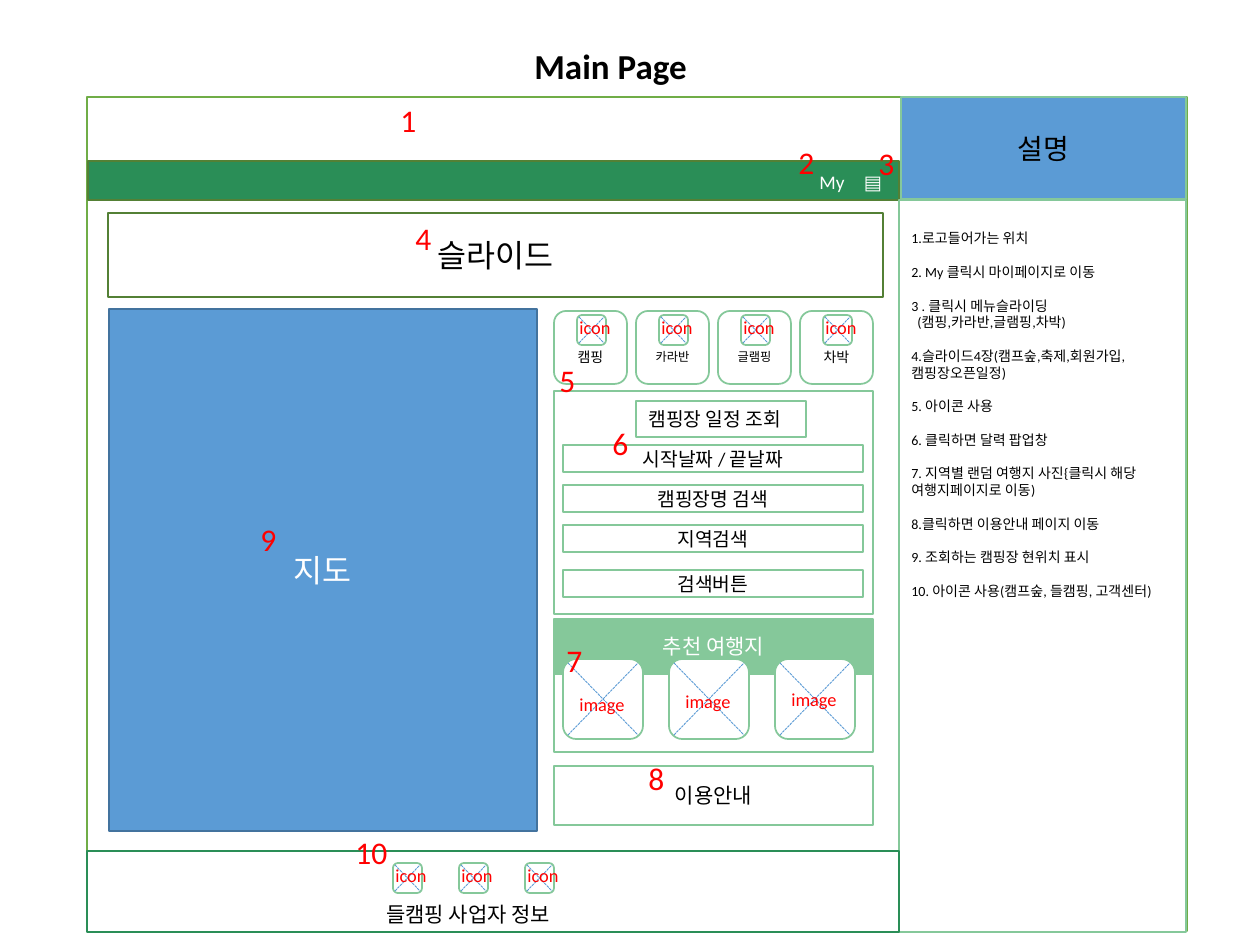
"""Build the main page wireframe of a camping site with numbered notes."""
import pptx
import pptx.dml.color
import pptx.enum.dml
import pptx.enum.shapes
import pptx.enum.text
import pptx.util
from lxml import etree

PX = 914400 / 126
RED, BLACK, WHITE = "FF0000", "000000", "FFFFFF"
BLUE, NAVY, MINT, GREEN, OLIVE = "5B9BD5", "43739E", "85C89A", "2A8E57", "538035"
hue = pptx.dml.color.RGBColor.from_string
Pt = pptx.util.Pt
kinds = pptx.enum.shapes.MSO_SHAPE
anchor = pptx.enum.text.MSO_ANCHOR
align = pptx.enum.text.PP_ALIGN

deck = pptx.Presentation()
deck.slide_width, deck.slide_height = int(1260 * PX), int(945 * PX)
slide = deck.slides.add_slide(deck.slide_layouts[6])


def box(rect, text="", size=11, ink=BLACK, fill=None, line=None, kind=kinds.RECTANGLE,
        wrap=True, bold=False, side=None, width=1):
    """Draw an outlined shape, or a plain text box if there is no line."""
    place = [int(n * PX) for n in rect]
    if line:
        shape = slide.shapes.add_shape(kind, *place)
        shape.shadow.inherit = False
        shape.line.color.rgb = hue(line)
        shape.line.width = Pt(width)
        if fill:
            shape.fill.solid()
            shape.fill.fore_color.rgb = hue(fill)
        else:
            shape.fill.background()
    else:
        shape = slide.shapes.add_textbox(*place)
    frame = shape.text_frame
    frame.word_wrap = wrap
    frame.vertical_anchor = anchor.MIDDLE if line else anchor.TOP
    if text:
        para = frame.paragraphs[0]
        para.alignment = side or (align.CENTER if line else align.LEFT)
        run = para.add_run()
        run.text = text
        for key, val in {"name": "Calibri", "size": Pt(size), "bold": bold}.items():
            setattr(run.font, key, val)
        run.font.color.rgb = hue(ink)
    return shape


def cross(x, y, w, h, dx, dy):
    """Draw a rounded tile crossed by two dashed diagonals."""
    box((x, y, w, h), fill=WHITE, line=MINT, kind=kinds.ROUNDED_RECTANGLE)
    for top, end in ((y + dy, y + h - dy), (y + h - dy, y + dy)):
        ends = [int(n * PX) for n in (x + dx, top, x + w - dx, end)]
        rule = slide.shapes.add_connector(pptx.enum.shapes.MSO_CONNECTOR.STRAIGHT, *ends)
        rule.line.color.rgb = hue(BLUE)
        rule.line.width = Pt(0.5)
        rule.line.dash_style = pptx.enum.dml.MSO_LINE.SQUARE_DOT
        etree.SubElement(rule._element.spPr, pptx.oxml.ns.qn("a:effectLst"))


box((87, 97, 1100, 834), fill=WHITE, line="70AD47")
box((108, 213, 775, 84), "슬라이드", 18, line=OLIVE)
box((109, 309, 428, 522), "지도", 18, WHITE, BLUE, NAVY)
box((522, 38, 179, 55), "Main Page", 20, wrap=False, bold=True)
box((88, 161, 811, 39), fill=GREEN, line=OLIVE)
box((807, 165, 50, 33), "My", ink=WHITE, line=GREEN, wrap=False)
box((856, 165, 34, 33), "▤", ink=WHITE, line=GREEN, wrap=False)

box((554, 391, 319, 223), fill=WHITE, line=MINT)
fields = {445: "시작날짜 / 끝날짜", 485: "캠핑장명 검색", 525: "지역검색", 570: "검색버튼"}
for y, text in fields.items():
    box((563, y, 300, 27), text, line=MINT)
title = box((636, 401, 170, 36), "캠핑장 일정 조회", line=MINT, wrap=False,
            side=align.LEFT, width=0.75)
title.text_frame.vertical_anchor = anchor.TOP

for i, (text, size) in enumerate((("캠핑", 8), ("카라반", 7), ("글램핑", 7), ("차박", 8))):
    tile = box((554 + 82 * i, 311, 73, 73), text, size, fill=WHITE, line=MINT,
               kind=kinds.ROUNDED_RECTANGLE)
    tile.text_frame.margin_top = int(25 * PX)

box((554, 629, 319, 123), fill=WHITE, line=MINT)
box((554, 619, 319, 55), "추천 여행지", 12, WHITE, MINT, MINT)
for i, y in enumerate((687, 684, 682)):
    x = 563 + 106 * i
    cross(x, 659, 80, 80, 5, 4)
    box((x + 4, y, 105, 35), "image", 10.5, RED)
box((554, 766, 319, 59), "이용안내", 12, line=MINT)

box((901, 97, 285, 102), "설명", 16, fill=BLUE, line=MINT)
notes = box((899, 200, 287, 732), fill=WHITE, line=MINT)
frame = notes.text_frame
frame.vertical_anchor = anchor.TOP
frame.margin_top = int(30 * PX)
lines = (
    "1.로고들어가는 위치", "2. My 클릭시 마이페이지로 이동", "3 . 클릭시 메뉴슬라이딩",
    "(캠핑,카라반,글램핑,차박)", "4.슬라이드4장(캠프숲,축제,회원가입,캠핑장오픈일정)",
    "5. 아이콘 사용", "6. 클릭하면 달력 팝업창",
    "7. 지역별 랜덤 여행지 사진{클릭시 해당 여행지페이지로 이동)",
    "8.클릭하면 이용안내 페이지 이동", "9. 조회하는 캠핑장 현위치 표시",
    "10. 아이콘 사용(캠프숲, 들캠핑, 고객센터)",
)
for i, text in enumerate(lines):
    para = frame.add_paragraph() if i else frame.paragraphs[0]
    para.alignment = align.LEFT
    sub = text.startswith("(")
    if sub:
        para._p.get_or_add_pPr().set("marL", str(int(6 * PX)))
    para.space_before = Pt(9.6 if i and not sub else 0)
    run = para.add_run()
    run.text = text
    for key, val in {"name": "Calibri", "size": Pt(8)}.items():
        setattr(run.font, key, val)
    run.font.color.rgb = hue(BLACK)

box((87, 851, 812, 81), fill=WHITE, line=GREEN)
icons = [(577 + 82 * i, 315) for i in range(4)] + [(393 + 66 * i, 863) for i in range(3)]
for x, y in icons:
    cross(x, y, 29, 30, 2, 2)
    box((x - 10, y - 5, 57, 35), "icon", 10.5, RED)
box((374, 895, 243, 38), "들캠핑 사업자 정보", 12)

marks = ((388, 95), (786, 137), (866, 138), (403, 213), (547, 355),
         (600, 418), (554, 635), (636, 753), (248, 514), (343, 827))
for i, (x, y) in enumerate(marks, 1):
    box((x, y, 58 if i == 10 else 39, 50), str(i), 18, RED)

deck.save("out.pptx")
